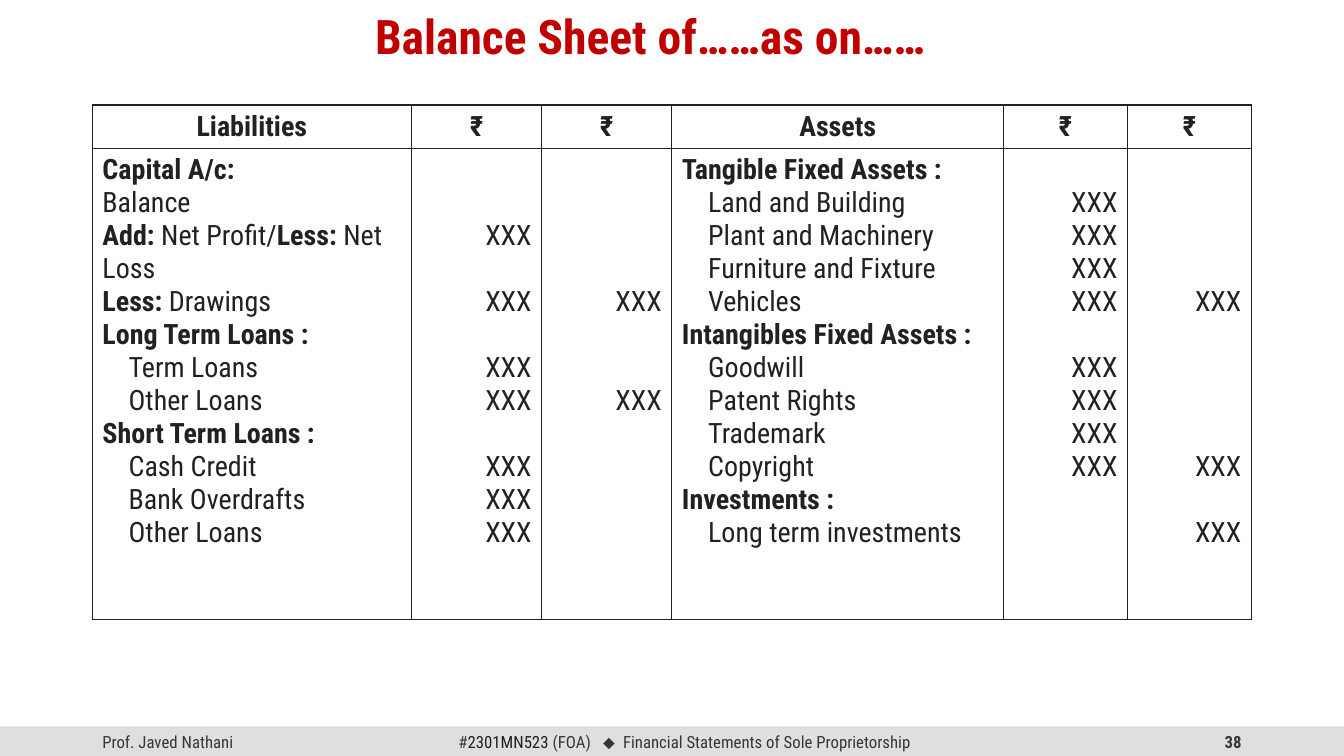
from lxml import etree
from pptx import Presentation
from pptx import util as u
from pptx.dml.color import RGBColor
from pptx.enum import shapes, text
from pptx.oxml import ns

COLORS = {"title": "C00000", "ink": "212121", "footer": "373737",
          "bar": "DFDFDF", "rule": "BFBFBF"}
AL = text.PP_ALIGN
COLS, ROWS = 160, 90
UNIT = u.Inches(1 / 12)
LINE = 23.57  # height of one table text line, in points


class Sheet:
    """Style and current slide; lengths are columns and rows of a 160 x 90 grid."""
    font = "Roboto Condensed"

    def __init__(self, prs):
        self.s = prs.slides.add_slide(prs.slide_layouts[6])

    def box(self, *cells):
        return [round(c * UNIT) for c in cells]

    def run(self, p, words, size, color, bold=False, font=None, spacing=0):
        r = p.add_run()
        r.text = words
        f = r.font
        f.name, f.size, f.bold = font or self.font, u.Pt(size), bold
        f.color.rgb = RGBColor.from_string(COLORS[color])
        if spacing:
            r._r.get_or_add_rPr().set("spc", str(spacing * 100))

    def text(self, x, y, w, h, align=AL.LEFT):
        tf = self.s.shapes.add_textbox(*self.box(x, y, w, h)).text_frame
        tf.word_wrap = True
        tf.vertical_anchor = text.MSO_ANCHOR.MIDDLE
        p = tf.paragraphs[0]
        p.alignment = align
        return p

    def bar(self, x, y, w, h):
        sp = self.s.shapes.add_shape(
            shapes.MSO_SHAPE.ROUNDED_RECTANGLE, *self.box(x, y, w, h))
        sp.adjustments[0] = 0
        sp.shadow.inherit = False
        sp.fill.solid()
        sp.fill.fore_color.rgb = RGBColor.from_string(COLORS["bar"])
        sp.line.fill.background()

    def rule(self, y):
        c = self.s.shapes.add_connector(
            shapes.MSO_CONNECTOR.STRAIGHT, *self.box(0, y, COLS, y))
        c.line.width = u.Pt(1)
        c.line.color.rgb = RGBColor.from_string(COLORS["rule"])
        spPr = c._element.spPr
        clr = spPr.find(".//" + ns.qn("a:srgbClr"))
        etree.SubElement(clr, ns.qn("a:alpha"), val="70000")
        etree.SubElement(spPr, ns.qn("a:effectLst"))

    def table(self, x, y, widths, heights):
        tb = self.s.shapes.add_table(
            len(heights), len(widths),
            *self.box(x, y, sum(widths), sum(heights))).table
        tb.first_row = tb.horz_banding = False
        for col, w in zip(tb.columns, self.box(*widths)):
            col.width = w
        for row, h in zip(tb.rows, self.box(*heights)):
            row.height = h
        for cell in tb.iter_cells():
            cell.fill.background()
            self.borders(cell)
        return tb

    def borders(self, cell):
        tcPr = cell._tc.get_or_add_tcPr()
        for i, side in enumerate("LRTB"):
            ln = etree.Element(ns.qn("a:ln" + side), w=str(u.Pt(1)))
            fill = etree.SubElement(ln, ns.qn("a:solidFill"))
            etree.SubElement(fill, ns.qn("a:srgbClr"), val=COLORS["ink"])
            tcPr.insert(i, ln)

    def heading(self, cell, words):
        p = cell.text_frame.paragraphs[0]
        p.alignment = AL.CENTER
        self.run(p, words, 20, "ink", True)

    def entries(self, cell, lines):
        """Stars enclose bold words; a leading > indents the entry."""
        tf = cell.text_frame
        for i, line in enumerate(lines):
            p = tf.add_paragraph() if i else tf.paragraphs[0]
            if line.startswith(">"):
                pPr = p._p.get_or_add_pPr()
                pPr.set("marL", "0")
                pPr.set("indent", str(u.Inches(0.26)))
            for j, words in enumerate(line.lstrip(">").split("*")):
                if words:
                    self.run(p, words, 20, "ink", j % 2 == 1)

    def amounts(self, cell, at_lines):
        """Put XXX on the given text lines, counted from 0."""
        tf = cell.text_frame
        cell.margin_top = u.Inches(0.05) + u.Pt(at_lines[0] * LINE)
        for i, n in enumerate(at_lines):
            p = tf.add_paragraph() if i else tf.paragraphs[0]
            p.alignment = AL.RIGHT
            if i:
                p.space_before = u.Pt((n - at_lines[i - 1] - 1) * LINE)
            self.run(p, "XXX", 20, "ink")


LIABILITIES = ["*Capital A/c:*", "Balance", "*Add: *Net Profit/*Less:* Net Loss",
               "*Less:* Drawings", "*Long Term Loans :*", ">Term Loans",
               ">Other Loans", "*Short Term Loans :*", ">Cash Credit",
               ">Bank Overdrafts", ">Other Loans"]
ASSETS = ["*Tangible Fixed Assets :*", ">Land and Building",
          ">Plant and Machinery", ">Furniture and Fixture", ">Vehicles",
          "*Intangibles Fixed Assets :*", ">Goodwill", ">Patent Rights",
          ">Trademark", ">Copyright", "*Investments :*",
          ">Long term investments"]
BODY = [LIABILITIES, [2, 4, 6, 7, 9, 10, 11], [4, 7],
        ASSETS, [1, 2, 3, 4, 6, 7, 8, 9], [4, 9, 11]]
HEADINGS = ["Liabilities", "₹", "₹", "Assets", "₹", "₹"]


def main():
    prs = Presentation()
    prs.slide_width, prs.slide_height = COLS * UNIT, ROWS * UNIT
    sheet = Sheet(prs)

    # Footer
    top, height = 86.6, 3.4
    sheet.rule(top)
    sheet.bar(0, top, COLS, height)
    sheet.run(sheet.text(11, top, 36, height), "Prof. Javed Nathani", 12, "footer")
    sheet.run(sheet.text(113, top, 36, height, AL.RIGHT), "38", 12, "footer", True)
    p = sheet.text(50, top, 63, height, AL.CENTER)
    sheet.run(p, "#", 12, "footer")
    sheet.run(p, "2301MN523 ", 12, "ink")
    sheet.run(p, "(FOA)", 12, "footer")
    sheet.run(p, " ", 12, "footer", spacing=6)
    sheet.run(p, "⬥", 12, "footer", font="Arial", spacing=3)
    sheet.run(p, " Financial Statements of Sole Proprietorship", 12, "footer")

    # Title
    p = sheet.text(0, 0, 154.8, 9.4, AL.CENTER)
    p.line_spacing = 0.9
    sheet.run(p, "Balance Sheet of……as on……", 34, "title", True)

    # Balance sheet
    tb = sheet.table(11, 12.5, [38, 15.5, 15.5, 39.5, 14.75, 14.75], [5.2, 56])
    for i, (words, body) in enumerate(zip(HEADINGS, BODY)):
        sheet.heading(tb.cell(0, i), words)
        fill_cell = sheet.amounts if words == "₹" else sheet.entries
        fill_cell(tb.cell(1, i), body)

    prs.save("out.pptx")


if __name__ == "__main__":
    main()
